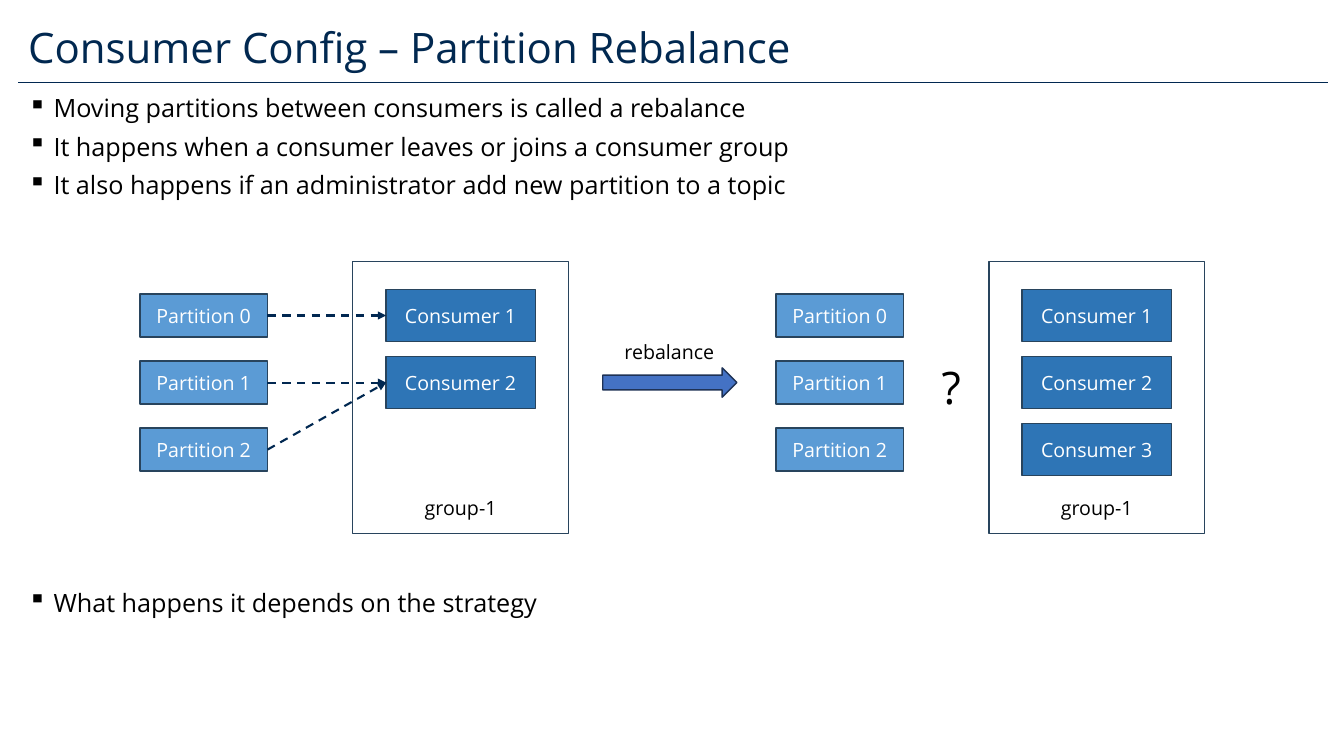
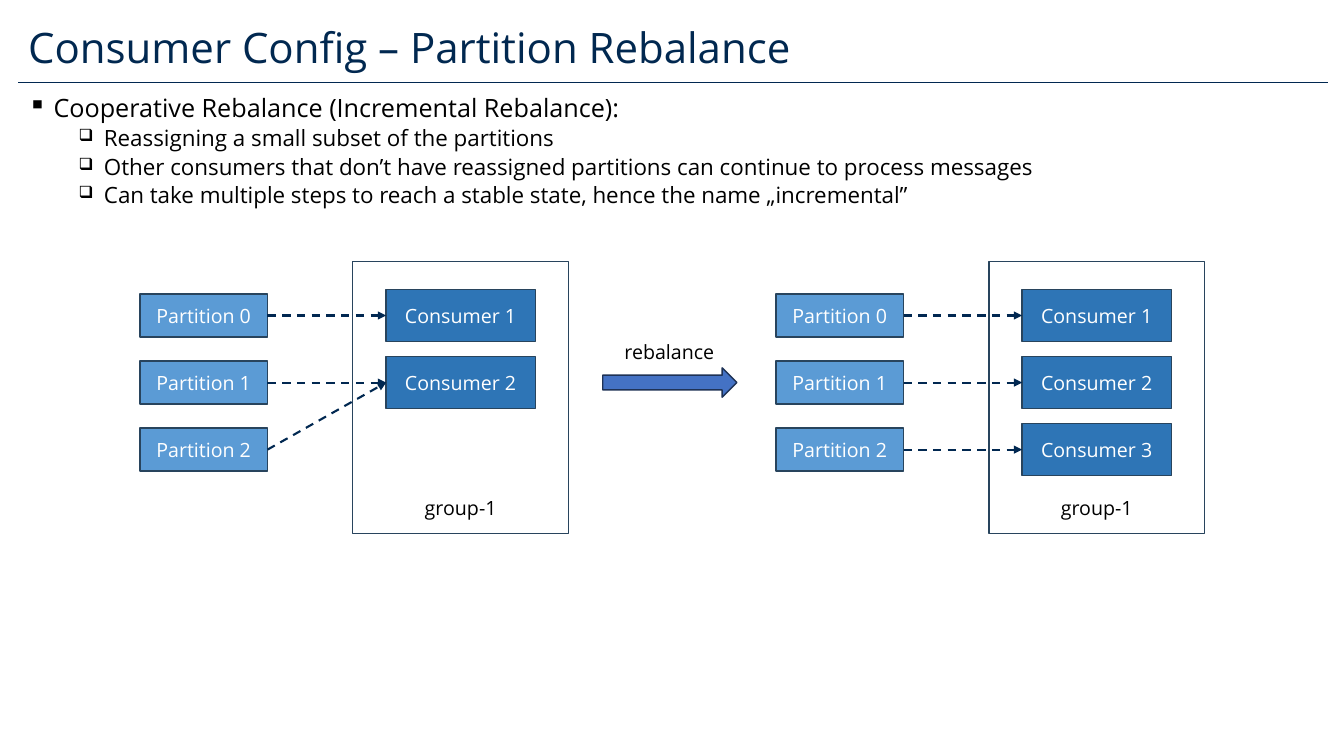
from dataclasses import dataclass

from lxml.etree import SubElement
from pptx import Presentation
from pptx.dml.color import RGBColor
from pptx.enum.dml import MSO_LINE
from pptx.enum.shapes import MSO_CONNECTOR, MSO_SHAPE
from pptx.enum.text import MSO_ANCHOR, PP_ALIGN
from pptx.oxml.ns import qn
from pptx.util import Cm, Pt


@dataclass(frozen=True)
class Theme:
    font: str = "Open Sans"
    title: str = "012850"
    rule: str = "012851"
    text: str = "000000"
    white: str = "FFFFFF"
    partition: str = "5B9BD5"
    consumer: str = "2E75B6"
    border: str = "28445D"
    arrow: str = "4472C4"
    arrow_border: str = "1E3256"
    title_size: int = 30
    label_size: int = 14
    mark_size: int = 32


THEME = Theme()

# Per level: bullet, bullet size in %, left indent (cm), text size, space before
LEVELS = [("▪", 100, 0.64, 18, 10), ("❑", 75, 1.91, 16, 5)]
HANGING = 0.64

TITLE = "Consumer Config – Partition Rebalance"
PARTITIONS = ["Partition 0", "Partition 1", "Partition 2"]
CONSUMERS = ["Consumer 1", "Consumer 2", "Consumer 3"]
GROUP = "group-1"
BEFORE_LINKS = [(0, 0), (1, 1), (2, 1)]

# bullets: (top in cm, [(level, text)]); links: (partition, consumer)
SLIDES = [
    {
        "bullets": [
            (2.36, [
                (0, "Moving partitions between consumers is called a rebalance"),
                (0, "It happens when a consumer leaves or joins a consumer group"),
                (0, "It also happens if an administrator add new partition to a topic"),
            ]),
            (14.81, [(0, "What happens it depends on the strategy")]),
        ],
        "after_links": [],
        "mark": "?",
    },
    {
        "bullets": [
            (2.36, [
                (0, "Cooperative Rebalance (Incremental Rebalance):"),
                (1, "Reassigning a small subset of the partitions"),
                (1, "Other consumers that don’t have reassigned partitions "
                    "can continue to process messages"),
                (1, "Can take multiple steps to reach a stable state, "
                    "hence the name „incremental”"),
            ]),
        ],
        "after_links": [(0, 0), (1, 1), (2, 2)],
        "mark": None,
    },
]

MARGIN, CONTENT_W = 0.46, 33.0
RULE_Y = 2.08
BEFORE_X, AFTER_X = 3.53, 19.56
ROW_Y, ROW_PITCH = 7.95, 1.69  # centre of the first row, step between rows
PARTITION_W, PARTITION_H = 3.21, 1.09
CONSUMER_W, CONSUMER_H = 3.76, 1.31
GROUP_DX, GROUP_Y, GROUP_W, GROUP_H = 5.36, 6.59, 5.44, 6.86
GROUP_LABEL_Y, LABEL_H = 12.38, 0.86


def rgb(value):
    return RGBColor.from_string(value)


def add_run(p, text, size, color):
    r = p.add_run()
    r.text = text
    r.font.name = THEME.font
    r.font.size = Pt(size)
    r.font.color.rgb = rgb(color)


def add_box(s, x, y, w, h):
    tf = s.shapes.add_textbox(Cm(x), Cm(y), Cm(w), Cm(h)).text_frame
    tf.word_wrap = True
    return tf


def add_label(s, x, y, w, h, text, size=THEME.label_size):
    p = add_box(s, x, y, w, h).paragraphs[0]
    p.alignment = PP_ALIGN.CENTER
    add_run(p, text, size, THEME.text)


def add_block(s, x, y, w, h, fill, text="", border=THEME.border, kind=MSO_SHAPE.RECTANGLE):
    sp = s.shapes.add_shape(kind, Cm(x), Cm(y), Cm(w), Cm(h))
    sp.shadow.inherit = False
    sp.fill.solid()
    sp.fill.fore_color.rgb = rgb(fill)
    sp.line.color.rgb = rgb(border)
    sp.line.width = Pt(1)
    if text:
        tf = sp.text_frame
        tf.vertical_anchor = MSO_ANCHOR.MIDDLE
        p = tf.paragraphs[0]
        p.alignment = PP_ALIGN.CENTER
        add_run(p, text, THEME.label_size, THEME.white)
    return sp


def add_line(s, x1, y1, x2, y2, width):
    line = s.shapes.add_connector(MSO_CONNECTOR.STRAIGHT, Cm(x1), Cm(y1), Cm(x2), Cm(y2))
    line.line.color.rgb = rgb(THEME.rule)
    line.line.width = Pt(width)
    SubElement(line._element.spPr, qn("a:effectLst"))
    return line


def add_link(s, partition, consumer):
    """Dashed arrow from a partition to the consumer that reads it."""
    link = add_line(s, 0, 0, 1, 1, 1.5)
    link.begin_connect(partition, 3)
    link.end_connect(consumer, 1)
    link.line.dash_style = MSO_LINE.DASH
    SubElement(link.line._get_or_add_ln(), qn("a:tailEnd"), type="triangle")


def add_title(s):
    add_line(s, MARGIN, RULE_Y, MARGIN + CONTENT_W, RULE_Y, 0.5)
    p = add_box(s, MARGIN, 0.61, CONTENT_W, 1.47).paragraphs[0]
    p.line_spacing = 0.85
    add_run(p, TITLE, THEME.title_size, THEME.title)


def add_bullets(s, top, items):
    tf = add_box(s, MARGIN, top, CONTENT_W, len(items) * 1.05)
    for i, (level, text) in enumerate(items):
        char, percent, indent, size, before = LEVELS[level]
        p = tf.paragraphs[0] if i == 0 else tf.add_paragraph()
        p.level = level
        pPr = p._p.get_or_add_pPr()
        pPr.set("marL", str(Cm(indent)))
        pPr.set("indent", str(-Cm(HANGING)))
        SubElement(pPr, qn("a:buSzPct"), val=str(percent * 1000))
        SubElement(pPr, qn("a:buChar"), char=char)
        p.line_spacing = 0.8
        if i:
            p.space_before = Pt(before)
        add_run(p, text, size, THEME.text)


def add_column(s, names, x, w, h, fill):
    return [add_block(s, x, ROW_Y + i * ROW_PITCH - h / 2, w, h, fill, name)
            for i, name in enumerate(names)]


def add_assignment(s, x, consumer_names, links):
    """Partitions on the left, the consumer group on the right, and their links."""
    group_x = x + GROUP_DX
    partitions = add_column(s, PARTITIONS, x, PARTITION_W, PARTITION_H, THEME.partition)
    add_block(s, group_x, GROUP_Y, GROUP_W, GROUP_H, THEME.white)
    consumers = add_column(s, consumer_names, group_x + (GROUP_W - CONSUMER_W) / 2,
                           CONSUMER_W, CONSUMER_H, THEME.consumer)
    add_label(s, group_x, GROUP_LABEL_Y, GROUP_W, LABEL_H, GROUP)
    for source, target in links:
        add_link(s, partitions[source], consumers[target])


def add_slide(prs, content):
    s = prs.slides.add_slide(prs.slide_layouts[6])
    add_title(s)
    for top, items in content["bullets"]:
        add_bullets(s, top, items)
    add_assignment(s, BEFORE_X, CONSUMERS[:2], BEFORE_LINKS)
    add_assignment(s, AFTER_X, CONSUMERS, content["after_links"])
    add_block(s, 15.19, 9.27, 3.38, 0.74, THEME.arrow,
              border=THEME.arrow_border, kind=MSO_SHAPE.RIGHT_ARROW)
    add_label(s, 14.99, 8.45, 3.76, LABEL_H, "rebalance")
    if content["mark"]:
        add_label(s, 22.83, 8.94, 2.29, 1.63, content["mark"], THEME.mark_size)


def main():
    prs = Presentation()
    prs.slide_width, prs.slide_height = Cm(33.87), Cm(19.05)
    for content in SLIDES:
        add_slide(prs, content)
    prs.save("out.pptx")


if __name__ == "__main__":
    main()
